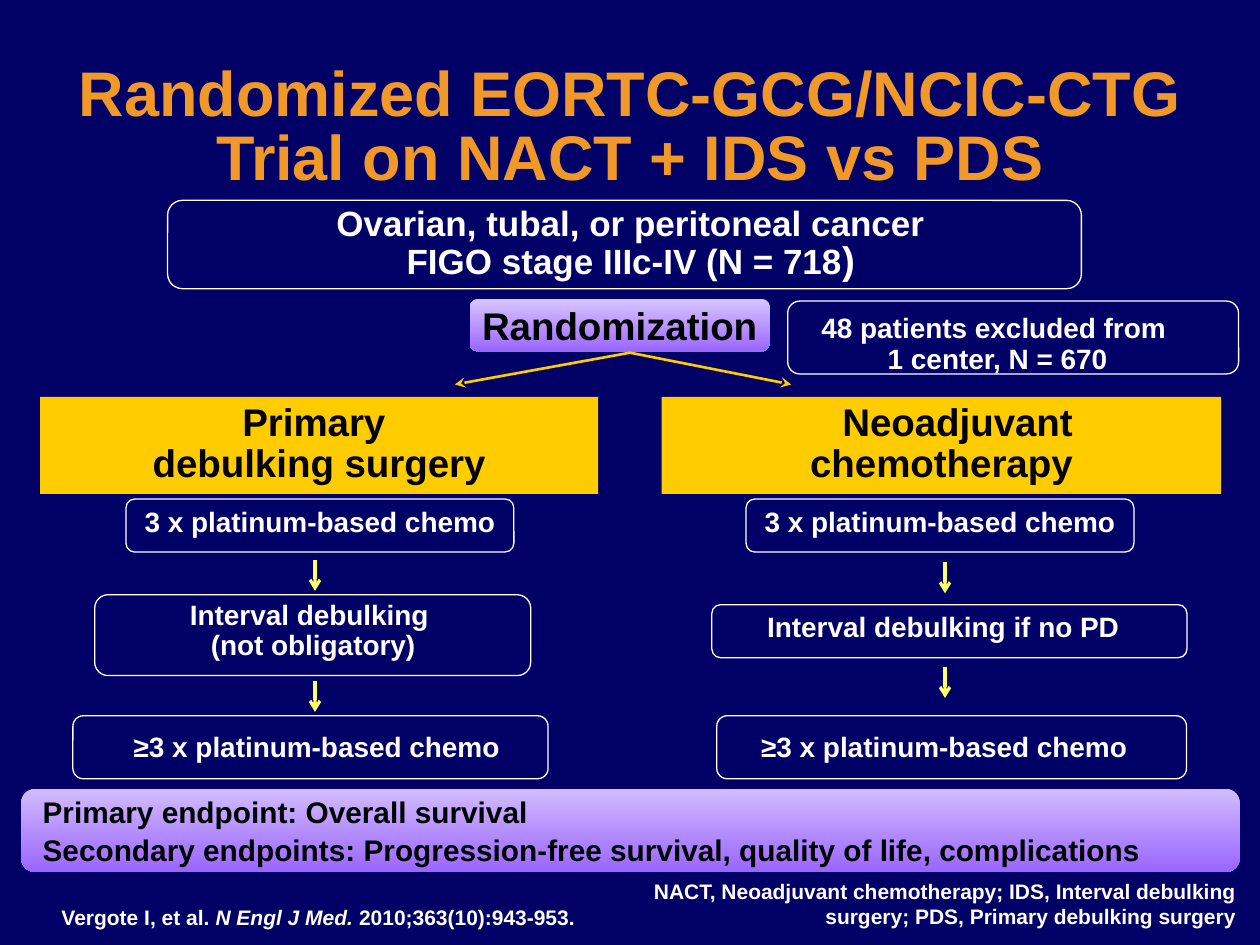
"""Build the slide on the randomized trial of NACT + IDS versus PDS."""
from dataclasses import dataclass

import pptx
import pptx.dml.color
import pptx.enum.shapes
import pptx.enum.text
import pptx.oxml
import pptx.oxml.ns
import pptx.util
from pptx.util import Cm

ALIGN = pptx.enum.text.PP_ALIGN
ANCHOR = pptx.enum.text.MSO_ANCHOR
SHAPE = pptx.enum.shapes.MSO_SHAPE
NS = pptx.oxml.ns.nsdecls("a")


@dataclass(frozen=True)
class Theme:
    """Colours, font and type sizes of the slide."""
    background: str = "000066"
    title: str = "F09828"
    light: str = "FFFFFF"
    dark: str = "000000"
    arm: str = "FFCC00"
    arrow: str = "FFFF66"
    violet: str = "9966FF"
    violet_bar: str = "D2BBFF"
    violet_label: str = "D9C6FF"
    font: str = "Arial"
    title_size: int = 36
    heading_size: int = 22
    population_size: int = 20
    endpoint_size: int = 17
    step_size: int = 16
    note_size: int = 12


THEME = Theme()


def rgb(value):
    """Return a colour object for a hex string."""
    return pptx.dml.color.RGBColor.from_string(value)


def write(tf, lines, size, color, align=ALIGN.CENTER, spacing=0.9, wrap=True):
    """Fill a text frame with bold paragraphs, each a string or a tuple of runs."""
    tf.word_wrap = wrap
    for i, line in enumerate(lines):
        p = tf.paragraphs[0] if i == 0 else tf.add_paragraph()
        pieces = (line,) if isinstance(line, str) else line
        p.text = pieces[0]
        for piece in pieces[1:]:
            p.add_run().text = piece
        p.alignment = align
        p.line_spacing = spacing
        for r in p.runs:
            r.font.name = THEME.font
            r.font.size = pptx.util.Pt(size)
            r.font.bold = True
            r.font.color.rgb = rgb(color)
    return tf


def add_text(slide, box, lines, size, color=THEME.light, **style):
    """Add a text box and return its text frame."""
    s = slide.shapes.add_textbox(*map(Cm, box))
    return write(s.text_frame, lines, size, color, **style)


def add_panel(slide, kind, box):
    """Add a preset shape without shadow, fill or line."""
    s = slide.shapes.add_shape(kind, *map(Cm, box))
    s.shadow.inherit = False
    s.fill.background()
    s.line.fill.background()
    return s


def add_outline(slide, box):
    """Add a rounded frame with a thin light line."""
    s = add_panel(slide, SHAPE.ROUNDED_RECTANGLE, box)
    s.line.color.rgb = rgb(THEME.light)
    s.line.width = pptx.util.Pt(0.75)


def add_gradient(slide, box, top):
    """Add a rounded bar shaded from a pale top to violet."""
    s = add_panel(slide, SHAPE.ROUNDED_RECTANGLE, box)
    s.fill.gradient()
    s.fill.gradient_angle = 270
    for stop, color, position in zip(s.fill.gradient_stops, (top, THEME.violet), (0, 1)):
        stop.color.rgb = rgb(color)
        stop.position = position
    return s


def add_arm(slide, box, lines):
    """Add the heading block of a treatment arm."""
    s = add_panel(slide, SHAPE.RECTANGLE, box)
    s.fill.solid()
    s.fill.fore_color.rgb = rgb(THEME.arm)
    s.text_frame.vertical_anchor = ANCHOR.TOP
    return write(s.text_frame, lines, THEME.heading_size, THEME.dark)


def add_step(slide, frame, box, lines):
    """Add a framed treatment step."""
    add_text(slide, box, lines, THEME.step_size)
    add_outline(slide, frame)


def add_arrow(slide, start, end, color, width, head):
    """Add a straight arrow."""
    s = slide.shapes.add_connector(
        pptx.enum.shapes.MSO_CONNECTOR.STRAIGHT, *map(Cm, start + end))
    s.line.color.rgb = rgb(color)
    s.line.width = pptx.util.Pt(width)
    s.line._get_or_add_ln().append(
        pptx.oxml.parse_xml(f'<a:tailEnd {NS} type="{head}"/>'))
    s._element.spPr.append(pptx.oxml.parse_xml(f"<a:effectLst {NS}/>"))


def set_title(slide, text):
    """Place and format the title with its text shadow."""
    s = slide.shapes.title
    s.left, s.top, s.width, s.height = map(Cm, (0, 1.02, 25.4, 3.18))
    tf = write(s.text_frame, [text], THEME.title_size, THEME.title, spacing=0.85)
    tf.vertical_anchor = ANCHOR.MIDDLE
    fill = tf.paragraphs[0].runs[0].font._element.find(pptx.oxml.ns.qn("a:solidFill"))
    fill.addnext(pptx.oxml.parse_xml(
        f'<a:effectLst {NS}><a:outerShdw dist="38100" dir="2700000">'
        f'<a:srgbClr val="{THEME.dark}"/></a:outerShdw></a:effectLst>'))


def add_population(slide):
    """Add the study population, the randomization label and the exclusions."""
    tf = add_text(slide, (3.61, 4.06, 18.21, 1.78),
                  ["Ovarian, tubal, or peritoneal cancer",
                   ("FIGO stage IIIc-IV (N = 718", ")")],
                  THEME.population_size, spacing=0.85)
    tf.paragraphs[1].runs[1].font.size = pptx.util.Pt(THEME.heading_size)
    add_outline(slide, (3.38, 4.04, 18.42, 1.78))
    s = add_gradient(slide, (9.47, 6.02, 6.05, 1.07), THEME.violet_label)
    s.text_frame.vertical_anchor = ANCHOR.MIDDLE
    write(s.text_frame, ["Randomization"], THEME.heading_size, THEME.dark,
          spacing=1.0, wrap=False)
    add_outline(slide, (15.88, 6.07, 9.09, 1.47))
    add_text(slide, (16.26, 6.22, 7.7, 1.5),
             ["48 patients excluded from ", "1 center, N = 670"],
             THEME.step_size, wrap=False)
    for x in (9.17, 15.95):
        add_arrow(slide, (12.7, 7.11), (x, 7.75), THEME.arm, 1.5, "stealth")


def add_arms(slide):
    """Add both treatment arms with their steps and arrows."""
    add_arm(slide, (0.81, 8, 11.25, 1.96), ["Primary ", "debulking surgery"])
    tf = add_arm(slide, (13.34, 8, 11.28, 1.96), ["Neoadjuvant", "chemotherapy"])
    tf.paragraphs[0]._p.get_or_add_pPr().set("marL", str(Cm(0.65)))
    first, last = ["3 x platinum-based chemo"], ["≥3 x platinum-based chemo"]
    steps = [
        ((2.54, 10.06, 7.82, 1.07), (2.31, 10.13, 8.28, 0.86), first),
        ((1.91, 11.99, 8.79, 1.63), (1.91, 11.99, 8.81, 1.5),
         ["Interval debulking ", "(not obligatory)"]),
        ((1.47, 14.43, 9.58, 1.27), (1.7, 14.66, 9.37, 0.86), last),
        ((15.04, 10.06, 7.82, 1.07), (15.04, 10.13, 7.82, 0.86), first),
        ((14.35, 12.19, 9.58, 1.07), (14.33, 12.24, 9.37, 0.86),
         ["Interval debulking if no PD"]),
        ((14.45, 14.43, 9.47, 1.27), (14.35, 14.66, 9.37, 0.86), last),
    ]
    for frame, box, lines in steps:
        add_step(slide, frame, box, lines)
    for x, y in ((6.35, 11.28), (6.35, 13.72), (19.05, 11.33), (19.05, 13.44)):
        add_arrow(slide, (x, y), (x, y + 0.63), THEME.arrow, 1.75, "arrow")


def add_footer(slide):
    """Add the endpoints, the citation and the abbreviations."""
    add_gradient(slide, (0.43, 15.9, 24.56, 1.68), THEME.violet_bar)
    add_text(slide, (0.61, 15.85, 24.79, 1.7),
             ["Primary endpoint: Overall survival",
              "Secondary endpoints: Progression-free survival, quality of life, complications"],
             THEME.endpoint_size, THEME.dark, align=ALIGN.LEFT, spacing=1.05)
    tf = add_text(slide, (0.99, 18.11, 24.31, 0.76),
                  [("Vergote I, et al. ", "N Engl J Med. ", "2010;363(10):943-953.")],
                  THEME.note_size, align=ALIGN.LEFT, spacing=1.0)
    tf.paragraphs[0].runs[1].font.italic = True
    add_text(slide, (11.43, 17.58, 13.74, 1.27),
             ["NACT, Neoadjuvant chemotherapy; IDS, Interval debulking surgery; "
              "PDS, Primary debulking surgery"],
             THEME.note_size, align=ALIGN.RIGHT, spacing=1.0)


def main():
    """Build and save the presentation."""
    prs = pptx.Presentation()
    prs.slide_width, prs.slide_height = Cm(25.4), Cm(19.05)
    slide = prs.slides.add_slide(prs.slide_layouts[5])
    slide.background.fill.solid()
    slide.background.fill.fore_color.rgb = rgb(THEME.background)
    set_title(slide, "Randomized EORTC-GCG/NCIC-CTG Trial on NACT + IDS vs PDS")
    add_population(slide)
    add_arms(slide)
    add_footer(slide)
    prs.save("out.pptx")


if __name__ == "__main__":
    main()
